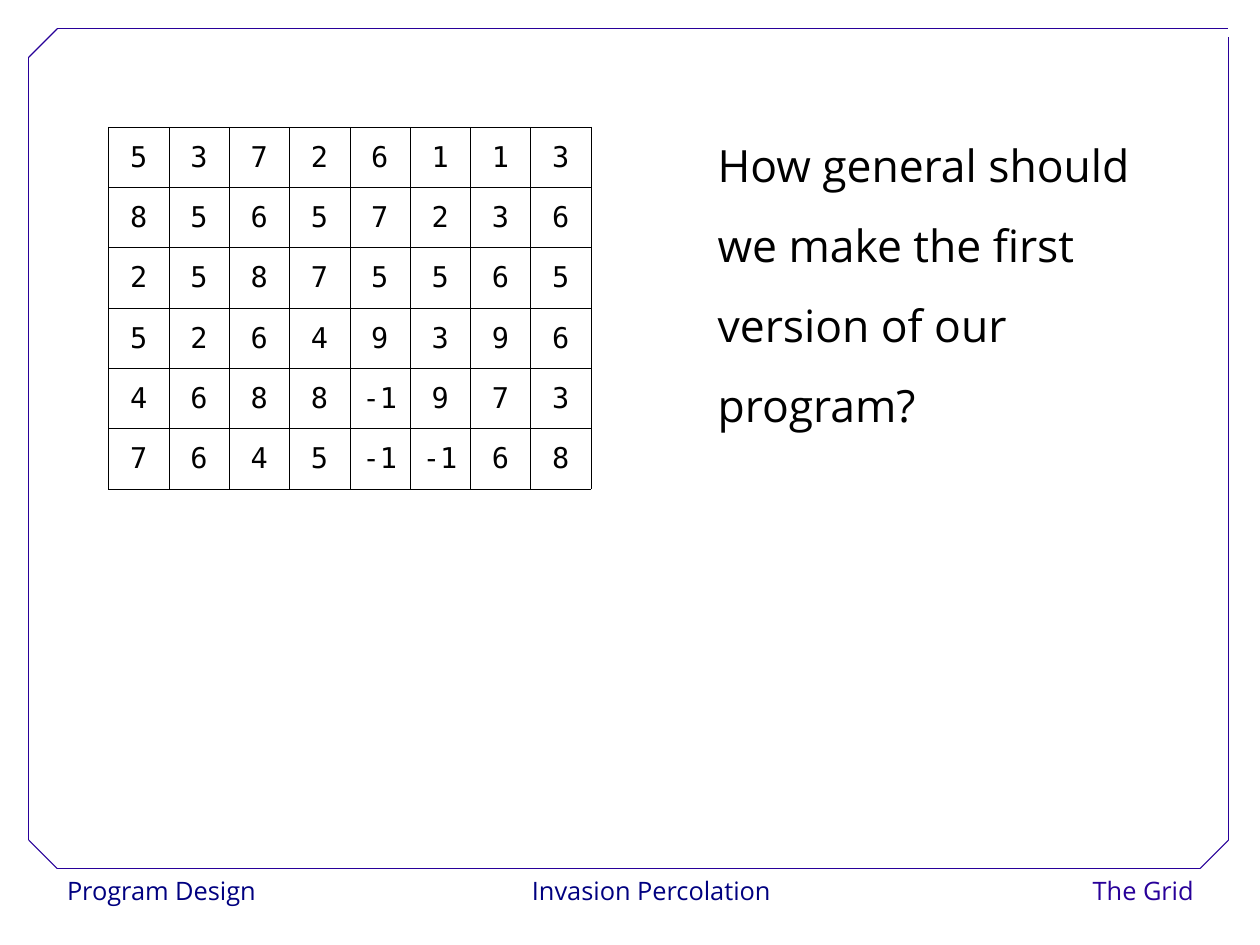
from lxml import etree
from pptx import Presentation
from pptx.dml.color import RGBColor
from pptx.enum import shapes, text
from pptx.oxml import ns
from pptx.util import Cm, Pt

COLORS = {"white": "FFFFFF", "black": "000000", "navy": "000080", "violet": "280099"}
SANS = "Open Sans"
MONO = "DejaVu Sans Mono"
ALIGN = text.PP_ALIGN

GRID = [
    [5, 3, 7, 2, 6, 1, 1, 3],
    [8, 5, 6, 5, 7, 2, 3, 6],
    [2, 5, 8, 7, 5, 5, 6, 5],
    [5, 2, 6, 4, 9, 3, 9, 6],
    [4, 6, 8, 8, -1, 9, 7, 3],
    [7, 6, 4, 5, -1, -1, 6, 8],
]
CELL_SIDE = 1.34

QUESTION = ["How general should", "we make the first", "version of our", "program?"]

FOOTERS = [
    ("Program Design", 1.24, 4.57, ALIGN.LEFT, "navy"),
    ("Invasion Percolation", 11.63, 5.69, ALIGN.CENTER, "navy"),
    ("The Grid", 23.22, 3.56, ALIGN.RIGHT, "violet"),
]

LEFT, RIGHT, TOP, BOTTOM = 0.64, 27.3, 0.64, 19.3
CORNER = 0.63
FRAME = [
    (LEFT + CORNER, BOTTOM, RIGHT - CORNER, BOTTOM),
    (LEFT, BOTTOM - CORNER, LEFT, TOP + CORNER),
    (LEFT + CORNER, TOP, RIGHT, TOP),
    (RIGHT, BOTTOM - CORNER, RIGHT, 0.82),
    (LEFT, TOP + CORNER, LEFT + CORNER, TOP),
    (RIGHT - CORNER, BOTTOM, RIGHT, BOTTOM - CORNER),
    (LEFT, BOTTOM - CORNER, LEFT + CORNER, BOTTOM),
]


def rgb(color):
    return RGBColor.from_string(COLORS[color])


def style(paragraph, font, size, color, align, spacing):
    paragraph.alignment = align
    paragraph.line_spacing = spacing
    paragraph.font.name = font
    paragraph.font.size = Pt(size)
    paragraph.font.color.rgb = rgb(color)


def add_footer(slide, label, left, width, align, color):
    footer = slide.shapes.add_shape(
        shapes.MSO_SHAPE.RECTANGLE, Cm(left), Cm(BOTTOM), Cm(width), Cm(1.02))
    footer.shadow.inherit = False
    footer.fill.solid()
    footer.fill.fore_color.rgb = rgb("white")
    footer.line.fill.background()
    frame = footer.text_frame
    frame.word_wrap = False
    frame.vertical_anchor = text.MSO_ANCHOR.TOP
    frame.text = label
    style(frame.paragraphs[0], SANS, 16, color, align, 1.02)


def add_frame_line(slide, x1, y1, x2, y2):
    edge = slide.shapes.add_connector(
        shapes.MSO_CONNECTOR.STRAIGHT, Cm(x1), Cm(y1), Cm(x2), Cm(y2))
    edge.line.color.rgb = rgb("violet")
    edge.line.width = Pt(0.75)
    etree.SubElement(edge._element.spPr, ns.qn("a:effectLst"))


def add_question(slide):
    question = slide.shapes.add_textbox(Cm(15.7), Cm(2.34), Cm(9.8), Cm(7.37))
    frame = question.text_frame
    frame.word_wrap = False
    frame.auto_size = text.MSO_AUTO_SIZE.SHAPE_TO_FIT_TEXT
    frame.text = "\n".join(QUESTION)
    for paragraph in frame.paragraphs:
        style(paragraph, SANS, 28, "black", ALIGN.LEFT, 1.5)


def add_borders(cell):
    properties = cell._tc.get_or_add_tcPr()
    for side in ("lnL", "lnR", "lnT", "lnB"):
        border = etree.SubElement(properties, ns.qn(f"a:{side}"), w=str(Pt(0.06)))
        fill = etree.SubElement(border, ns.qn("a:solidFill"))
        etree.SubElement(fill, ns.qn("a:srgbClr"), val=COLORS["black"])


def add_grid(slide):
    rows, columns = len(GRID), len(GRID[0])
    grid = slide.shapes.add_table(
        rows, columns, Cm(2.41), Cm(2.82),
        Cm(columns * CELL_SIDE), Cm(rows * CELL_SIDE)).table
    grid.first_row = False
    grid.horz_banding = False
    for row, values in enumerate(GRID):
        for column, value in enumerate(values):
            cell = grid.cell(row, column)
            cell.text = str(value)
            cell.vertical_anchor = text.MSO_ANCHOR.MIDDLE
            add_borders(cell)
            cell.fill.background()
            style(cell.text_frame.paragraphs[0], MONO, 18, "black", ALIGN.CENTER, 1.02)


def main():
    deck = Presentation()
    deck.slide_width, deck.slide_height = Cm(28), Cm(21)
    slide = deck.slides.add_slide(deck.slide_layouts[6])
    for footer in FOOTERS:
        add_footer(slide, *footer)
    for edge in FRAME:
        add_frame_line(slide, *edge)
    add_question(slide)
    add_grid(slide)
    deck.save("out.pptx")


if __name__ == "__main__":
    main()
